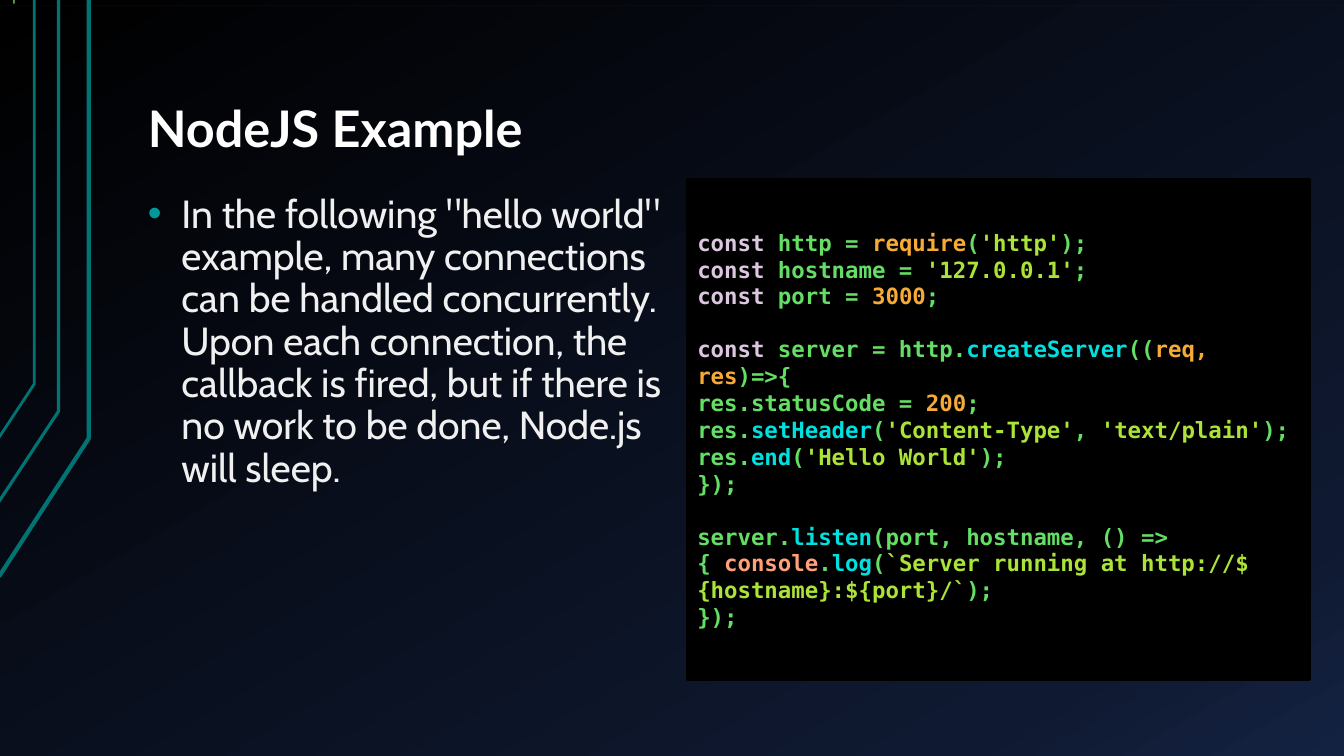
from dataclasses import dataclass

from lxml import etree
from pptx import Presentation
from pptx.dml.color import RGBColor
from pptx.enum.shapes import MSO_SHAPE
from pptx.enum.text import MSO_ANCHOR, MSO_AUTO_SIZE, PP_ALIGN
from pptx.oxml import parse_xml
from pptx.oxml.ns import nsdecls, qn
from pptx.util import Pt

RECTANGLE = MSO_SHAPE.RECTANGLE
TOP, MIDDLE, BOTTOM = MSO_ANCHOR.TOP, MSO_ANCHOR.MIDDLE, MSO_ANCHOR.BOTTOM
LEFT = PP_ALIGN.LEFT
GROW_TO_FIT = MSO_AUTO_SIZE.SHAPE_TO_FIT_TEXT

COLORS = {
    "circuit": "007373", "bullet": "009999", "title": "FFFFFF", "body": "F0F0F0",
    "panel": "000000", "strip": "193549", "tick": "92FC79",
    "keyword": "DCC6E0", "plain": "64DE64", "literal": "F5AB35",
    "string": "ABE338", "method": "00E0E0", "builtin": "FFA07A",
}
BACKGROUND_STOPS = {0: "000000", 85: "0F1931", 100: "142242"}
BACKGROUND_ANGLE = 60
MONOSPACE = "DejaVu Sans Mono"
BLANK_LINE = 18.6


@dataclass
class Box:
    left: float
    top: float
    width: float
    height: float


@dataclass
class TextStyle:
    font: str
    size: float
    bold: bool = False


@dataclass
class CircuitLine:
    points: list[tuple[float, float]]
    weight: float


@dataclass
class CodeLine:
    tokens: list[tuple[str, str]]
    space_before: float = 0


CIRCUIT_LINES = [
    CircuitLine([(-0.7, 411.8), (63.4, 313.2), (63.4, 0)], 3),
    CircuitLine([(-1.4, 359.3), (41.8, 293.8), (41.8, 0)], 2.25),
    CircuitLine([(-0.7, 312.5), (24.5, 274.3), (24.5, 0)], 2),
]

CODE_LINES = [
    CodeLine([("keyword", "const"), ("plain", " http = "), ("literal", "require"),
              ("plain", "("), ("string", "'http'"), ("plain", ");")]),
    CodeLine([("keyword", "const"), ("plain", " hostname = "),
              ("string", "'127.0.0.1'"), ("plain", ";")]),
    CodeLine([("keyword", "const"), ("plain", " port = "), ("literal", "3000"),
              ("plain", ";")]),
    CodeLine([("keyword", "const"), ("plain", " server = http."),
              ("method", "createServer"), ("plain", "(("), ("literal", "req, res"),
              ("plain", ")=>{")], BLANK_LINE),
    CodeLine([("plain", "res.statusCode = "), ("literal", "200"), ("plain", ";")]),
    CodeLine([("plain", "res."), ("method", "setHeader"), ("plain", "("),
              ("string", "'Content-Type'"), ("plain", ", "), ("string", "'text/plain'"),
              ("plain", "); res."), ("method", "end"), ("plain", "("),
              ("string", "'Hello World'"), ("plain", ");")]),
    CodeLine([("plain", "});")]),
    CodeLine([("plain", "server."), ("method", "listen"),
              ("plain", "(port, hostname, () => { "), ("builtin", "console"),
              ("plain", "."), ("method", "log"), ("plain", "("),
              ("string", "`Server running at http://${hostname}:${port}/`"),
              ("plain", ");")], BLANK_LINE),
    CodeLine([("plain", "});")]),
]

BODY_TEXT = (
    'In the following "hello world" example, many connections can be handled '
    "concurrently. Upon each connection, the callback is fired, but if there is "
    "no work to be done, Node.js will sleep."
)


def rgb(name: str) -> RGBColor:
    return RGBColor.from_string(COLORS[name])


def apply_format(target, values: dict) -> None:
    for name, value in values.items():
        setattr(target, name, value)


def set_background(slide) -> None:
    stops = "".join(
        f'<a:gs pos="{position * 1000}"><a:srgbClr val="{color}"/></a:gs>'
        for position, color in BACKGROUND_STOPS.items()
    )
    background = parse_xml(
        f'<p:bg {nsdecls("p", "a")}><p:bgPr><a:gradFill rotWithShape="1">'
        f"<a:gsLst>{stops}</a:gsLst>"
        f'<a:lin ang="{BACKGROUND_ANGLE * 60000}" scaled="0"/></a:gradFill>'
        "<a:effectLst/></p:bgPr></p:bg>"
    )
    slide.shapes._spTree.getparent().insert(0, background)


def add_circuit_line(slide, line: CircuitLine) -> None:
    points = [(Pt(x), Pt(y)) for x, y in line.points]
    builder = slide.shapes.build_freeform(*points[0])
    builder.add_line_segments(points[1:], close=False)
    shape = builder.convert_to_shape()
    shape.shadow.inherit = False
    shape.fill.background()
    shape.line.color.rgb = rgb("circuit")
    shape.line.width = Pt(line.weight)


def add_rectangle(slide, box: Box, color: str, outline: float = 0):
    shape = slide.shapes.add_shape(
        RECTANGLE, Pt(box.left), Pt(box.top), Pt(box.width), Pt(box.height))
    shape.shadow.inherit = False
    shape.fill.solid()
    shape.fill.fore_color.rgb = rgb(color)
    if outline:
        shape.line.color.rgb = rgb(color)
        shape.line.width = Pt(outline)
    else:
        shape.line.fill.background()
    return shape


def write_runs(paragraph, tokens: list[tuple[str, str]], style: TextStyle) -> None:
    paragraph.alignment = LEFT
    for color, text in tokens:
        run = paragraph.add_run()
        run.text = text
        apply_format(run.font, {"name": style.font, "size": Pt(style.size), "bold": style.bold})
        run.font.color.rgb = rgb(color)


def add_text(slide, box: Box, color: str, text: str, style: TextStyle, anchor):
    text_box = slide.shapes.add_textbox(
        Pt(box.left), Pt(box.top), Pt(box.width), Pt(box.height))
    apply_format(text_box.text_frame, {
        "word_wrap": True, "vertical_anchor": anchor,
        "margin_left": Pt(9.6), "margin_right": Pt(9.6),
        "margin_top": Pt(4.8), "margin_bottom": Pt(4.8),
    })
    paragraph = text_box.text_frame.paragraphs[0]
    paragraph.line_spacing = 0.9
    write_runs(paragraph, [(color, text)], style)
    return paragraph


def add_bullet(paragraph, indent: float) -> None:
    properties = paragraph._p.get_or_add_pPr()
    properties.set("marL", str(Pt(indent)))
    properties.set("indent", str(-Pt(indent)))
    bullet_color = etree.SubElement(properties, qn("a:buClr"))
    etree.SubElement(bullet_color, qn("a:srgbClr"), val=COLORS["bullet"])
    etree.SubElement(properties, qn("a:buFont"), typeface="Arial")
    etree.SubElement(properties, qn("a:buChar"), char="•")


def add_code_panel(slide, box: Box, lines: list[CodeLine]) -> None:
    frame = add_rectangle(slide, box, "panel", outline=2).text_frame
    apply_format(frame, {"word_wrap": True, "vertical_anchor": MIDDLE})
    for index, line in enumerate(lines):
        paragraph = frame.add_paragraph() if index else frame.paragraphs[0]
        paragraph.space_before = Pt(line.space_before)
        write_runs(paragraph, line.tokens, TextStyle(MONOSPACE, 16, True))


def main() -> None:
    presentation = Presentation()
    apply_format(presentation, {"slide_width": Pt(960), "slide_height": Pt(540)})
    slide = presentation.slides.add_slide(presentation.slide_layouts[6])

    # Background and circuit lines
    set_background(slide)
    for line in CIRCUIT_LINES:
        add_circuit_line(slide, line)

    # Title and explanation
    add_text(slide, Box(96, 21.6, 816, 96.5), "title", "NodeJS Example",
             TextStyle("Lato", 36, True), BOTTOM)
    body = add_text(slide, Box(96, 134, 395.3, 351.4), "body", BODY_TEXT,
                    TextStyle("Cabin", 28), TOP)
    body.space_before = Pt(16)
    add_bullet(body, 24)

    # Code listing
    add_code_panel(slide, Box(491, 128.2, 444.2, 357.1), CODE_LINES)

    # Flat strip with a tick at the top edge
    strip = add_rectangle(slide, Box(0, 3.6, 960, 0), "strip").text_frame
    apply_format(strip, {"word_wrap": False, "vertical_anchor": MIDDLE, "auto_size": GROW_TO_FIT})
    write_runs(strip.paragraphs[0], [("tick", "'")], TextStyle(MONOSPACE, 10))

    presentation.save("out.pptx")


if __name__ == "__main__":
    main()
